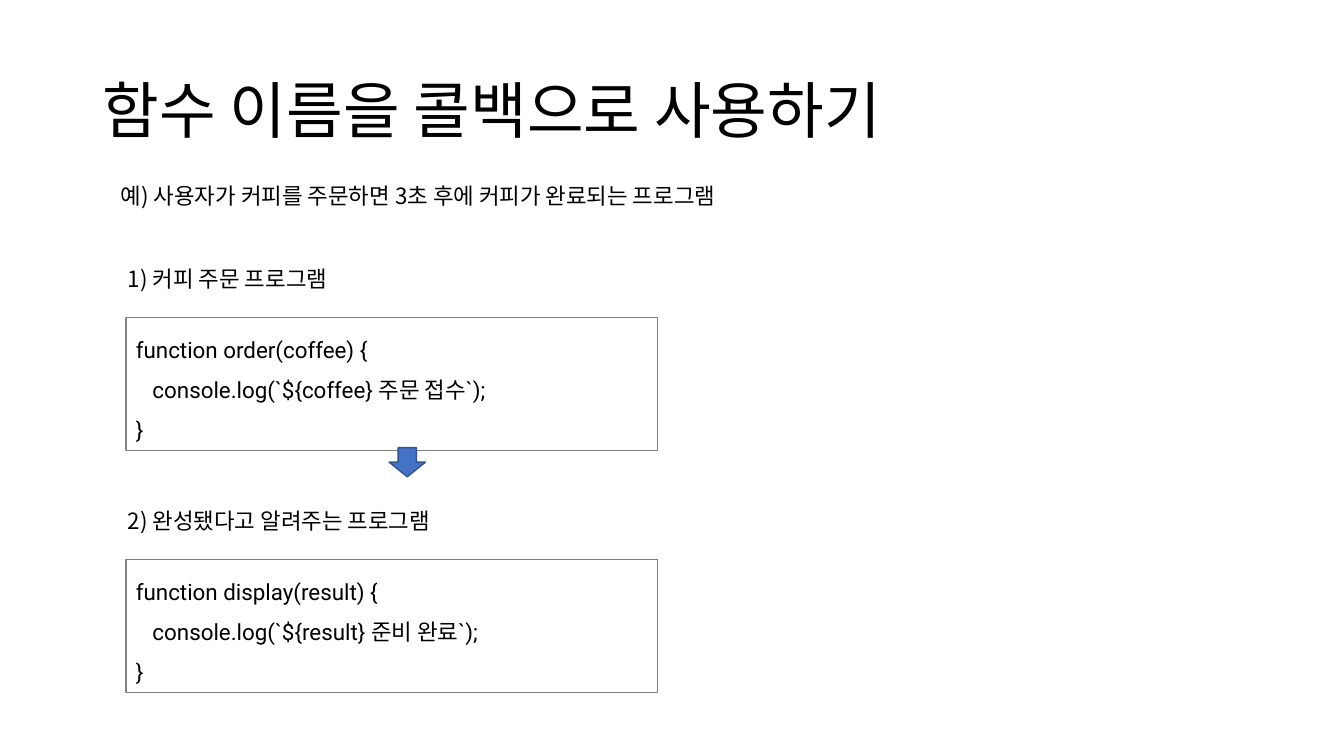
from dataclasses import dataclass

from lxml.etree import SubElement
from pptx import Presentation
from pptx.dml.color import RGBColor
from pptx.enum.shapes import MSO_SHAPE as Shape
from pptx.enum.text import MSO_ANCHOR as Anchor, PP_ALIGN as Align
from pptx.oxml.ns import qn
from pptx.util import Inches, Pt


@dataclass(frozen=True)
class Theme:
    text: str = "000000"
    frame: str = "808080"
    arrow: str = "4472C4"
    arrow_edge: str = "325491"
    title_size: int = 44
    body_size: int = 16
    body_font: str = "Noto Sans CJK KR"
    code_font: str = "Roboto"


def write(box, text, *, theme, size, font, spacing=1.0, anchor=Anchor.TOP):
    frame = box.text_frame
    frame.word_wrap = True
    frame.vertical_anchor = anchor
    for index, line in enumerate(text.split("\n")):
        para = frame.paragraphs[0] if index == 0 else frame.add_paragraph()
        para.alignment = Align.LEFT
        para.line_spacing = spacing
        span = para.add_run()
        span.text = line
        span.font.size = Pt(size)
        span.font.name = font
        span.font.color.rgb = RGBColor.from_string(theme.text)
        east_asian = SubElement(span.font._element, qn("a:ea"))
        east_asian.set("typeface", theme.body_font)


class Page:
    def __init__(self, deck, theme):
        self.theme = theme
        self.shapes = deck.slides.add_slide(deck.slide_layouts[6]).shapes

    def text(self, text, left, top, width, height, **style):
        box = self.shapes.add_textbox(*map(Inches, (left, top, width, height)))
        style = {"size": self.theme.body_size, "font": self.theme.body_font} | style
        write(box, text, theme=self.theme, **style)

    def shape(self, kind, left, top, width, height, *, edge, weight, fill=None):
        box = self.shapes.add_shape(kind, *map(Inches, (left, top, width, height)))
        box.shadow.inherit = False
        if fill:
            box.fill.solid()
            box.fill.fore_color.rgb = RGBColor.from_string(fill)
        else:
            box.fill.background()
        box.line.color.rgb = RGBColor.from_string(edge)
        box.line.width = Pt(weight)
        return box

    def code(self, text, left, top, width, height):
        box = self.shape(Shape.RECTANGLE, left, top, width, height,
                         edge=self.theme.frame, weight=0.75)
        write(box, text, theme=self.theme, size=self.theme.body_size,
              font=self.theme.code_font, spacing=1.5)

    def arrow(self, left, top, width, height):
        self.shape(Shape.DOWN_ARROW, left, top, width, height,
                   edge=self.theme.arrow_edge, weight=1, fill=self.theme.arrow)


STEPS = [
    ("1) 커피 주문 프로그램",
     "function order(coffee) {\n   console.log(`${coffee} 주문 접수`);\n}"),
    ("2) 완성됐다고 알려주는 프로그램",
     "function display(result) {\n   console.log(`${result} 준비 완료`);\n}"),
]
FIRST_STEP_TOP = 2.58
STEP_PITCH = 2.4
CODE_OFFSET = 0.57


def main():
    deck = Presentation()
    deck.slide_width, deck.slide_height = Inches(13.33), Inches(7.5)
    theme = Theme()
    page = Page(deck, theme)
    page.text("함수 이름을 콜백으로 사용하기", 0.92, 0.4, 11.5, 1.45,
              size=theme.title_size, spacing=0.9, anchor=Anchor.MIDDLE)
    page.text("예) 사용자가 커피를 주문하면 3초 후에 커피가 완료되는 프로그램",
              1.1, 1.76, 9.98, 0.37)
    for index, (heading, code) in enumerate(STEPS):
        top = FIRST_STEP_TOP + index * STEP_PITCH
        page.text(heading, 1.17, top, 7.3, 0.37)
        page.code(code, 1.25, top + CODE_OFFSET, 5.27, 1.32)
    page.arrow(3.86, 4.44, 0.36, 0.29)
    deck.save("out.pptx")


if __name__ == "__main__":
    main()
